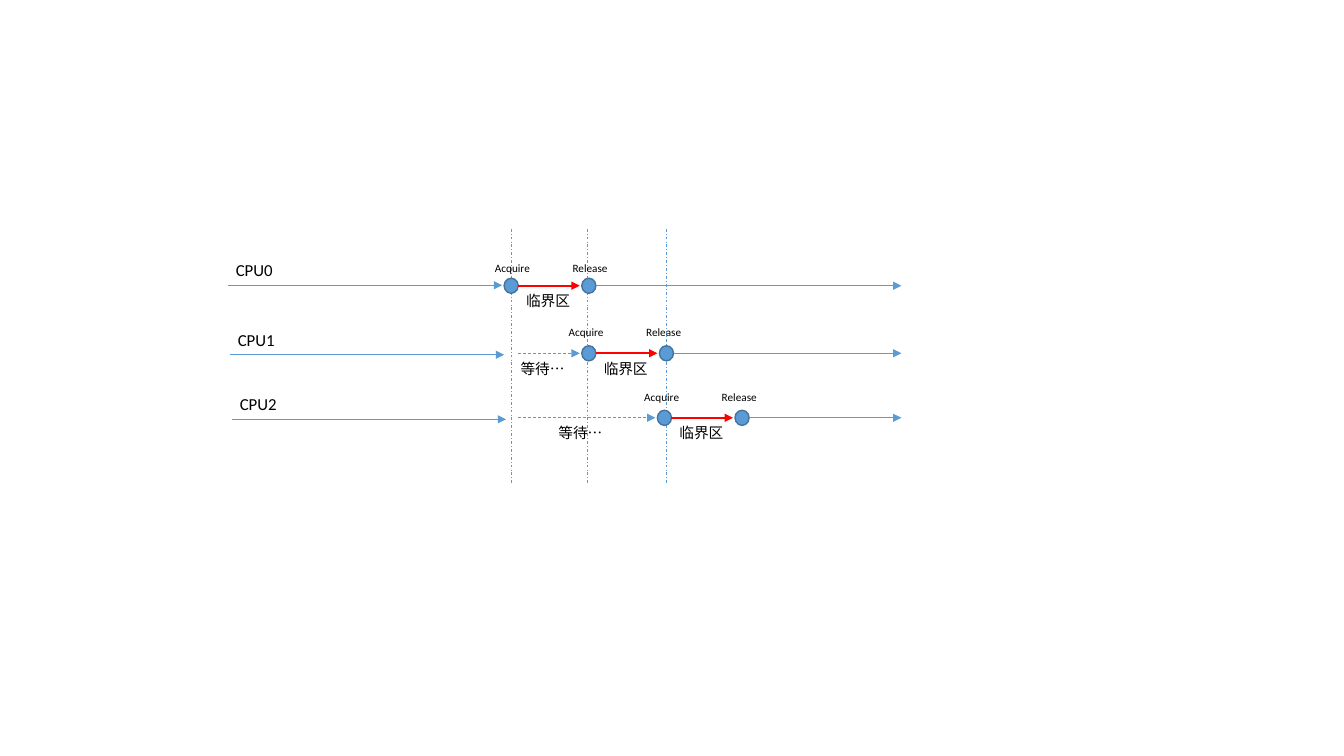
import pptx
import pptx.dml.color
import pptx.enum.dml
import pptx.enum.shapes
import pptx.enum.text
import pptx.oxml.ns
import pptx.util
from lxml import etree

Inches = pptx.util.Inches
DASH = pptx.enum.dml.MSO_LINE
COLORS = {"flow": "5B9BD5", "outline": "43739E", "critical": "FF0000", "text": "000000"}
FONT = "Calibri"
DOT_WIDTH, DOT_HEIGHT = 0.14, 0.15
HOLD_TIME = 0.77
ARROW_GAP = 0.02
WAIT_START = 5.14


def rgb(name):
    return pptx.dml.color.RGBColor.from_string(COLORS[name])


def add_line(slide, start, end, color="flow", width=0.5, dash=None, arrow=True):
    line = slide.shapes.add_connector(
        pptx.enum.shapes.MSO_CONNECTOR.STRAIGHT, *map(Inches, (*start, *end)))
    line.line.color.rgb = rgb(color)
    line.line.width = pptx.util.Pt(width)
    if dash is not None:
        line.line.dash_style = dash
    if arrow:
        outline = line.line._get_or_add_ln()
        etree.SubElement(outline, pptx.oxml.ns.qn("a:tailEnd"), type="triangle")
    etree.SubElement(line._element.spPr, pptx.oxml.ns.qn("a:effectLst"))


def add_label(slide, text, left, top, width, height, size):
    label = slide.shapes.add_textbox(*map(Inches, (left, top, width, height)))
    frame = label.text_frame
    frame.word_wrap = True
    frame.auto_size = pptx.enum.text.MSO_AUTO_SIZE.SHAPE_TO_FIT_TEXT
    run = frame.paragraphs[0].add_run()
    run.text = text
    run.font.name = FONT
    run.font.size = pptx.util.Pt(size)
    run.font.color.rgb = rgb("text")


def add_dot(slide, left, top):
    dot = slide.shapes.add_shape(
        pptx.enum.shapes.MSO_SHAPE.OVAL,
        *map(Inches, (left, top, DOT_WIDTH, DOT_HEIGHT)))
    dot.shadow.inherit = False
    dot.fill.solid()
    dot.fill.fore_color.rgb = rgb("flow")
    dot.line.color.rgb = rgb("outline")
    dot.line.width = pptx.util.Pt(1)


def add_guides(slide, positions, top, bottom):
    for x in positions:
        add_line(slide, (x, top), (x, bottom), dash=DASH.DASH_DOT, arrow=False)


def add_arrival(slide, name, left, top):
    add_line(slide, (left + 0.02, top + 0.3), (left + 2.74, top + 0.3))
    add_label(slide, name, left, top, 0.85, 0.3, 12)


def add_lock(slide, acquire, top, right, event_shift, event_top):
    release = acquire + HOLD_TIME
    middle = top + DOT_HEIGHT / 2
    for event, left in (("Acquire", acquire), ("Release", release)):
        add_dot(slide, left, top)
        add_label(slide, event, left - event_shift, event_top, 0.65, 0.24, 8)
    add_line(slide, (acquire + DOT_WIDTH, middle), (release - ARROW_GAP, middle),
             "critical", 1.5)
    add_line(slide, (release + DOT_WIDTH, middle), (right, middle))
    add_label(slide, "临界区", acquire + 0.12, top + 0.09, 0.71, 0.29, 10.5)


def add_wait(slide, acquire, top):
    middle = top + DOT_HEIGHT / 2
    end = acquire - ARROW_GAP
    add_line(slide, (WAIT_START, middle), (end, middle), dash=DASH.DASH)
    add_label(slide, "等待…", (WAIT_START + end) / 2 - 0.38, top + 0.09, 0.71, 0.29, 10.5)


def add_timeline(slide, left, top, right):
    lanes = (
        ("CPU0", 0.26, 0.49, 5.0, 0.19, 0.27),
        ("CPU1", 0.95, 1.16, 5.77, 0.23, 0.91),
        ("CPU2", 1.59, 1.8, 6.52, 0.23, 1.55),
    )
    add_guides(slide, (5.07, 5.83, 6.61), top, top + 2.52)
    for index, (name, name_y, dot_y, acquire, event_shift, event_y) in enumerate(lanes):
        add_arrival(slide, name, left + 0.02 * index, top + name_y)
        add_lock(slide, acquire, top + dot_y, right, event_shift, top + event_y)
        if index:
            add_wait(slide, acquire, top + dot_y)


def main():
    deck = pptx.Presentation()
    deck.slide_width = Inches(13.33)
    deck.slide_height = Inches(7.5)
    slide = deck.slides.add_slide(deck.slide_layouts[6])
    add_timeline(slide, 2.24, 2.27, 8.94)
    deck.save("out.pptx")


if __name__ == "__main__":
    main()
